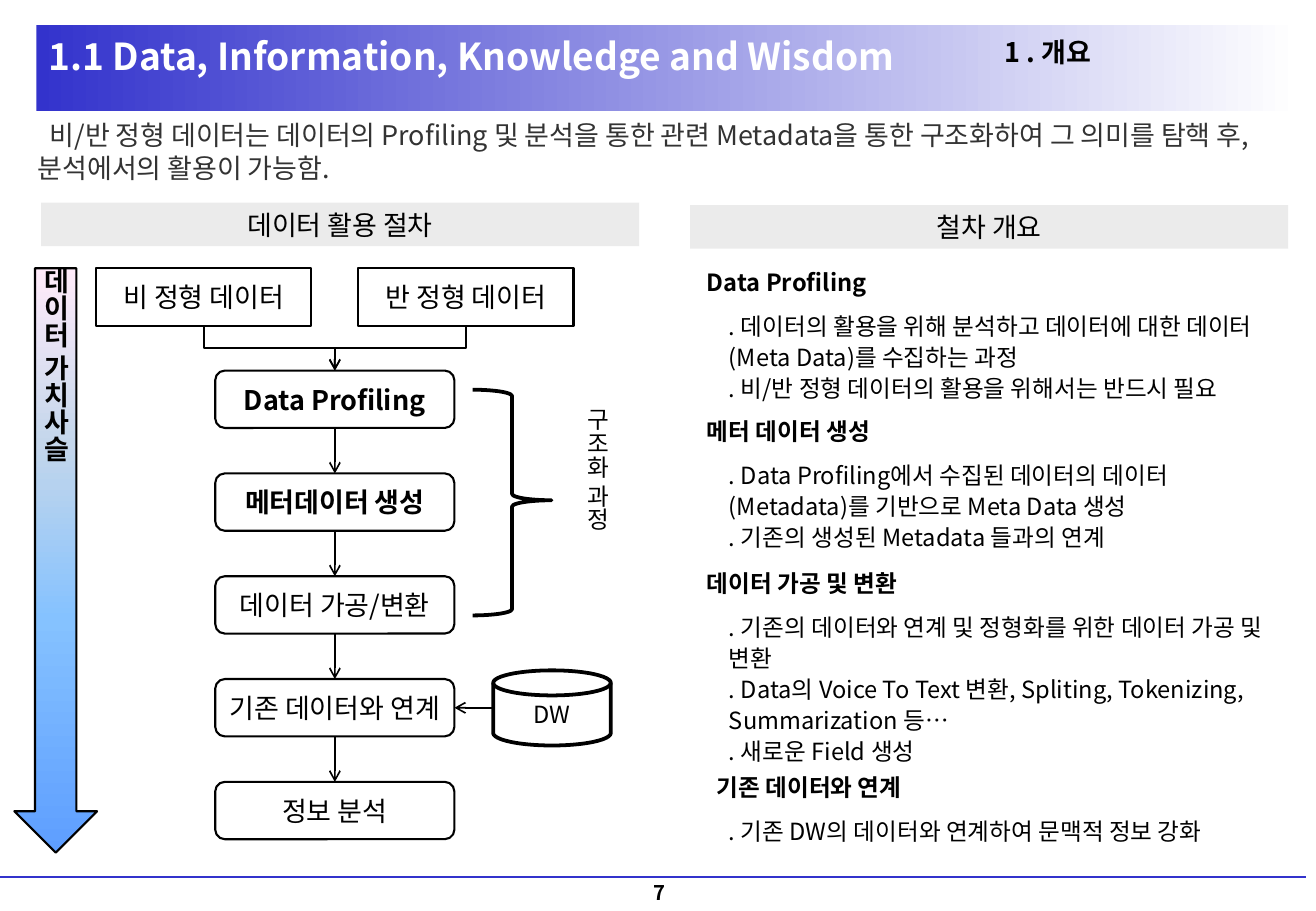
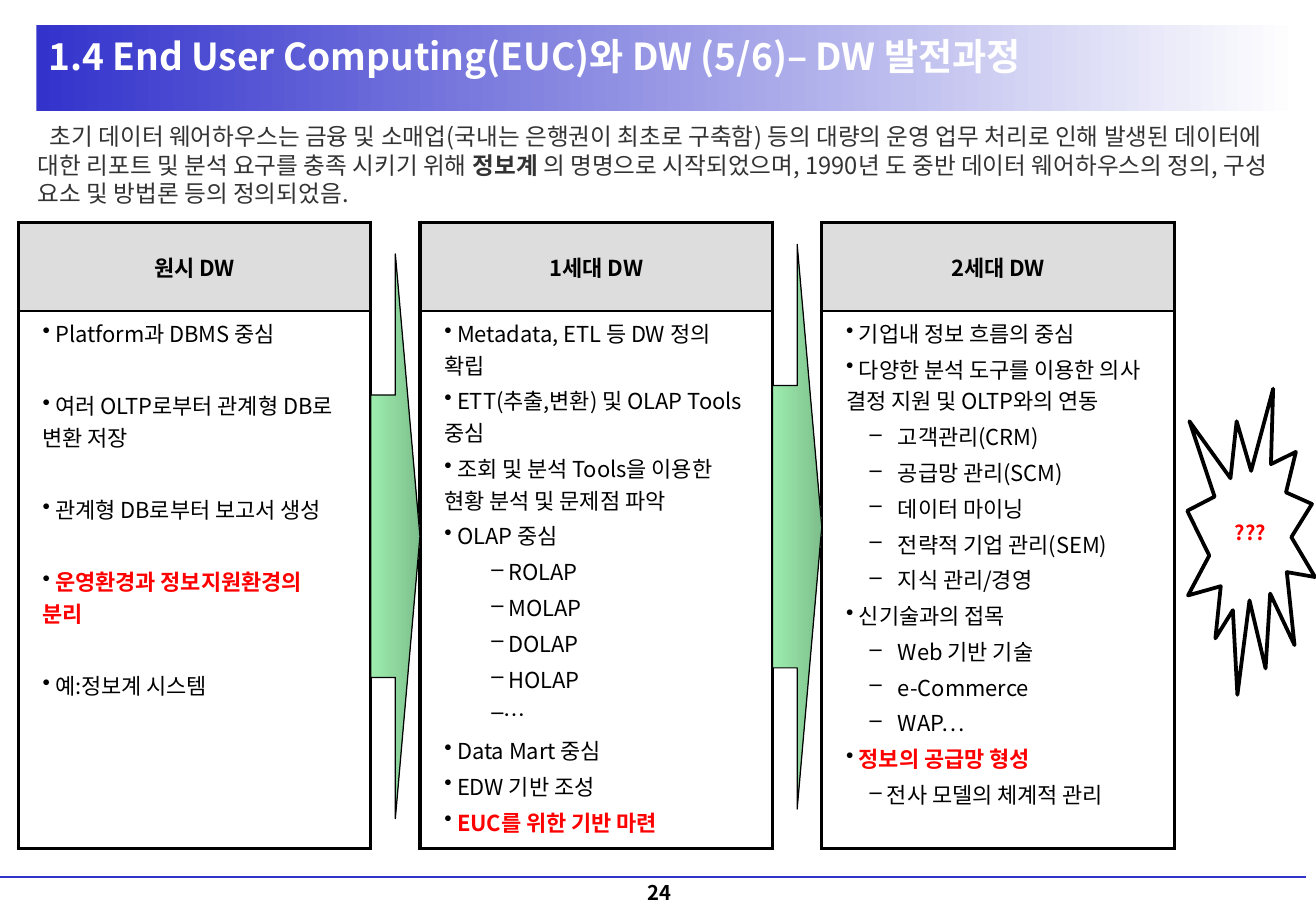
from dataclasses import dataclass
from itertools import pairwise

from pptx import Presentation
from pptx.dml.color import RGBColor
from pptx.enum.shapes import MSO_CONNECTOR, MSO_SHAPE
from pptx.enum.text import MSO_ANCHOR, MSO_AUTO_SIZE, PP_ALIGN
from pptx.oxml.ns import qn
from pptx.oxml.xmlchemy import OxmlElement
from pptx.util import Cm, Pt

LEFT, CENTER, RIGHT = PP_ALIGN.LEFT, PP_ALIGN.CENTER, PP_ALIGN.RIGHT
TOP, MIDDLE, BOTTOM = MSO_ANCHOR.TOP, MSO_ANCHOR.MIDDLE, MSO_ANCHOR.BOTTOM
STRAIGHT, ELBOW = MSO_CONNECTOR.STRAIGHT, MSO_CONNECTOR.ELBOW
SITE_TOP, SITE_BOTTOM = 0, 2


@dataclass(frozen=True)
class Theme:
    """Colours, font and type sizes of the deck."""
    font: str = "Noto Sans CJK KR"
    accent: str = "3333CC"
    white: str = "FFFFFF"
    ink: str = "000000"
    lead: str = "333333"
    panel: str = "D9D9D9"
    header: str = "DDDDDD"
    alert: str = "FF0000"
    growth: tuple = ((0, "9DEDAE"), (100, "7EBF8C"))
    value: tuple = ((0, "5E9EFF"), (40, "85C2FF"), (63, "B6D2EF"),
                    (70, "C4D6EB"), (100, "FFEBFA"))
    title_size: int = 22
    label_size: int = 16
    text_size: int = 14
    table_size: int = 13
    small_size: int = 12


@dataclass(frozen=True)
class Box:
    """A rectangle in centimetres."""
    x: float
    y: float
    w: float
    h: float

    def lengths(self):
        """Return left, top, width and height as lengths."""
        return Cm(self.x), Cm(self.y), Cm(self.w), Cm(self.h)

    def inner(self, dx, dy, w, h):
        """Return a box offset from this one's corner."""
        return Box(self.x + dx, self.y + dy, w, h)


@dataclass(frozen=True)
class Item:
    """One bullet of a generation; margin and indent are in centimetres."""
    text: str
    bullet: str = "•"
    margin: float = 0
    indent: float = 0
    strong: bool = False
    lead: str = " "


THEME = Theme()


def element(tag, **attributes):
    """Create a drawing element with attributes."""
    node = OxmlElement(tag)
    for name, value in attributes.items():
        node.set(name, str(value))
    return node


def color_fill(color, alpha=None):
    """Create a solid fill, with an optional opacity in percent."""
    fill = element("a:solidFill")
    fill.append(element("a:srgbClr", val=color))
    if alpha is not None:
        fill[0].append(element("a:alpha", val=alpha * 1000))
    return fill


def add_run(paragraph, text, size, color=THEME.ink, bold=False):
    """Append one formatted run."""
    run = paragraph.add_run()
    run.text = text
    font = run.font
    font.size, font.bold, font.name = Pt(size), bold, THEME.font
    font.color.rgb = RGBColor.from_string(color)
    run._r.get_or_add_rPr().append(element("a:ea", typeface=THEME.font))


def prepare(frame, anchor=TOP, inset=None, vertical=False):
    """Set the wrapping, anchor, insets and direction of a text frame."""
    frame.word_wrap, frame.auto_size = True, MSO_AUTO_SIZE.NONE
    frame.vertical_anchor = anchor
    if inset is not None:
        frame.margin_left = frame.margin_right = Cm(inset)
        frame.margin_top = frame.margin_bottom = Cm(inset)
    if vertical:
        frame._txBody.bodyPr.set("vert", "eaVert")
    return frame.paragraphs[0]


def add_label(shape, text, size, color=THEME.ink, bold=False, align=CENTER,
              anchor=MIDDLE, inset=None, vertical=False):
    """Write one line into a shape."""
    paragraph = prepare(shape.text_frame, anchor, inset, vertical)
    paragraph.alignment = align
    add_run(paragraph, text, size, color, bold)


def add_outline(slide, kind, box, line=None):
    """Add an unfilled preset shape, with an optional black outline."""
    shape = slide.shapes.add_shape(kind, *box.lengths())
    shape.shadow.inherit = False
    shape.fill.background()
    if line:
        shape.line.color.rgb = RGBColor.from_string(THEME.ink)
        shape.line.width = Pt(line)
    else:
        shape.line.fill.background()
    return shape


def set_gradient(shape, stops, angle=0):
    """Fill a shape with gradient stops, clockwise angle in degrees."""
    shape.fill.gradient()
    gradient = shape._element.spPr.find(qn("a:gradFill"))
    stop_list = gradient.find(qn("a:gsLst"))
    stop_list.clear()
    for position, color in stops:
        stop = element("a:gs", pos=position * 1000)
        stop.append(element("a:srgbClr", val=color))
        stop_list.append(stop)
    gradient.find(qn("a:lin")).set("ang", str(angle * 60000))


def add_line(slide, kind, ends, color=THEME.ink, width=1, arrow=True):
    """Add a connector between two points, by default with an arrowhead."""
    line = slide.shapes.add_connector(kind, *map(Cm, ends))
    line.line.color.rgb = RGBColor.from_string(color)
    line.line.width = Pt(width)
    properties = line._element.spPr
    if arrow:
        properties.find(qn("a:ln")).append(element("a:tailEnd", type="arrow"))
    properties.append(element("a:effectLst"))
    return line


def furnish_layout(layout, slide):
    """Give the layout the title band and the footer rule."""
    band = add_outline(slide, MSO_SHAPE.RECTANGLE, Box(0.76, 0.53, 26.42, 1.8))
    set_gradient(band, ((0, THEME.accent), (100, THEME.white)))
    rule = add_line(slide, STRAIGHT, (27.3, 18.34, 0, 18.34),
                    THEME.accent, 1.5, arrow=False)
    for number, part in enumerate((band, rule)):
        part._element.xpath(".//p:cNvPr")[0].set("id", str(90 + number))
        layout.shapes._spTree.insert(2 + number, part._element)


def fill_frame(slide, title, title_width, number, lead_box, lead, size, pitch):
    """Fill the title, the lead paragraph and the page number."""
    heading, body = slide.shapes.title, slide.placeholders[1]
    for holder, box in ((heading, Box(0.76, 0.56, title_width, 1.22)),
                        (body, lead_box)):
        holder.left, holder.top, holder.width, holder.height = box.lengths()
    add_label(heading, title, THEME.title_size, THEME.white, True, LEFT)
    paragraph = prepare(body.text_frame, inset=0)
    paragraph.line_spacing, paragraph.space_before = Pt(pitch), Pt(0)
    set_bullet(paragraph, None, 0, 0.25)
    for text, bold in lead:
        add_run(paragraph, text, size, THEME.lead, bold)
    page = slide.shapes.add_textbox(*Box(10.92, 18.31, 5.74, 0.74).lengths())
    add_label(page, number, THEME.small_size, bold=True, anchor=BOTTOM)


def set_bullet(paragraph, bullet, margin, indent):
    """Set bullet character, margin and first-line indent."""
    properties = paragraph._p.get_or_add_pPr()
    properties.set("marL", str(Cm(margin)))
    properties.set("indent", str(Cm(indent)))
    properties.append(element("a:buChar", char=bullet) if bullet
                      else element("a:buNone"))


def draw_panel_heading(slide, box, text):
    """Draw a translucent grey heading."""
    panel = add_outline(slide, MSO_SHAPE.RECTANGLE, box)
    properties = panel._element.spPr
    properties.replace(properties.find(qn("a:noFill")),
                       color_fill(THEME.panel, 50))
    add_label(panel, text, THEME.label_size)


def draw_flow(slide, box):
    """Draw the value arrow, data sources, steps and warehouse."""
    size = THEME.label_size
    value = add_outline(slide, MSO_SHAPE.DOWN_ARROW,
                        box.inner(0, 0, 1.73, box.h), 1.25)
    set_gradient(value, THEME.value, 270)
    add_label(value, "데이터 가치사슬", size, bold=True, align=LEFT,
              inset=0, vertical=True)

    for column, text in enumerate(("비 정형 데이터", "반 정형 데이터")):
        source = add_outline(slide, MSO_SHAPE.RECTANGLE,
                             box.inner(1.71 + column * 5.48, 0, 4.5, 1.2), 1.25)
        add_label(source, text, size)

    steps = []
    for row, text in enumerate(("Data Profiling", "메터데이터 생성",
                                "데이터 가공/변환", "기존 데이터와 연계",
                                "정보 분석")):
        step = add_outline(slide, MSO_SHAPE.ROUNDED_RECTANGLE,
                           box.inner(4.2, 2.14 + row * 2.15, 5, 1.2), 1.25)
        add_label(step, text, size, bold=row < 2, inset=0)
        steps.append(step)
    for upper, lower in pairwise(steps):
        arrow = add_line(slide, STRAIGHT, (0, 0, 1, 1))
        arrow.begin_connect(upper, SITE_BOTTOM)
        arrow.end_connect(lower, SITE_TOP)

    drop, reach = 0.94, 2.74
    middle, top = box.x + 6.7, box.y + 1.2 + (drop - reach) / 2
    for side, angle in ((-1, 270), (1, 90)):
        center = middle + side * reach / 2
        merge = add_line(slide, ELBOW,
                         (center + side * -drop / 2, top,
                          center + side * drop / 2, top + reach))
        merge._element.spPr.xfrm.set("rot", str(angle * 60000))

    warehouse = add_outline(slide, MSO_SHAPE.FLOWCHART_MAGNETIC_DISK,
                            box.inner(10.01, 8.41, 2.46, 1.57), 2.25)
    add_label(warehouse, "DW", THEME.text_size)
    level = box.y + 9.19
    add_line(slide, STRAIGHT, (box.x + 10.01, level, box.x + 9.2, level))
    brace = add_outline(slide, MSO_SHAPE.RIGHT_BRACE,
                        box.inner(9.58, 2.54, 1.65, 4.72), 2.25)
    brace.adjustments[0], brace.adjustments[1] = 0.08, 0.49
    note = slide.shapes.add_textbox(*box.inner(11.49, 2.67, 1.12, 4.5).lengths())
    add_label(note, "구조화 과정", THEME.text_size, align=LEFT, anchor=TOP,
              vertical=True)


def draw_detail(slide, box, title, shift, lines):
    """Draw one bold heading with its explanation below."""
    heading = slide.shapes.add_textbox(*box.inner(shift, 0, 6, 1.07).lengths())
    add_label(heading, title, THEME.text_size, bold=True, align=LEFT)
    body = slide.shapes.add_textbox(
        *box.inner(0.46, 0.98, box.w - 0.46, box.h - 0.98).lengths())
    paragraph = prepare(body.text_frame)
    for number, text in enumerate(lines):
        if number:
            paragraph = body.text_frame.add_paragraph()
        paragraph.line_spacing = Pt(18.4)
        add_run(paragraph, text, THEME.text_size)


def set_borders(cell, widths):
    """Set left, right, top and bottom cell borders in points."""
    properties = cell._tc.get_or_add_tcPr()
    for number, (side, width) in enumerate(zip("LRTB", widths)):
        border = element(f"a:ln{side}", w=Pt(width))
        border.append(color_fill(THEME.ink))
        properties.insert(number, border)


def draw_generation(slide, box, title, items, gap):
    """Draw one generation as a header cell above a bulleted cell."""
    table = slide.shapes.add_table(2, 1, *box.lengths()).table
    table.first_row = table.horz_banding = False
    table.rows[0].height, table.rows[1].height = Cm(1.85), Cm(box.h - 1.85)
    header, body = table.cell(0, 0), table.cell(1, 0)
    for cell, widths in ((header, (2.25, 2.25, 2.25, 1)),
                         (body, (2.25, 2.25, 1, 2.25))):
        cell.margin_left = cell.margin_right = Cm(0.51)
        cell.margin_top = cell.margin_bottom = Cm(0.13)
        cell.fill.background()
        set_borders(cell, widths)
    header.fill.solid()
    header.fill.fore_color.rgb = RGBColor.from_string(THEME.header)
    header.vertical_anchor = MIDDLE
    paragraph = header.text_frame.paragraphs[0]
    paragraph.alignment = CENTER
    add_run(paragraph, title, THEME.table_size, bold=True)
    paragraph = body.text_frame.paragraphs[0]
    for number, item in enumerate(items):
        if number:
            paragraph = body.text_frame.add_paragraph()
            paragraph.space_before = Pt(gap)
        paragraph.line_spacing = Pt(18.8)
        set_bullet(paragraph, item.bullet, item.margin, item.indent)
        if item.lead:
            add_run(paragraph, item.lead, THEME.table_size)
        add_run(paragraph, item.text, THEME.table_size,
                THEME.alert if item.strong else THEME.ink, item.strong)


def dashes(texts, margin, indent):
    """Return second-level items."""
    return [Item(text, "–", margin, indent) for text in texts]


def build_process_slide(slide):
    """Build the slide on the data usage procedure."""
    fill_frame(slide, "1.1 Data, Information, Knowledge and Wisdom", 19.61, "7",
               Box(0.79, 2.46, 25.55, 2.49),
               [("비/반 정형 데이터는 데이터의 Profiling 및 분석을 통한 관련 Metadata을 통한 "
                 "구조화하여 그 의미를 탐핵 후, 분석에서의 활용이 가능함.", False)],
               THEME.label_size, 19.5)
    section = slide.shapes.add_textbox(*Box(12.4, 0.48, 10.41, 1.22).lengths())
    add_label(section, "1 . 개요", THEME.label_size, bold=True, align=RIGHT, inset=0)
    draw_panel_heading(slide, Box(0.86, 4.24, 12.5, 0.91), "데이터 활용 절차")
    draw_panel_heading(slide, Box(14.43, 4.29, 12.5, 0.91), "철차 개요")
    draw_flow(slide, Box(0.3, 5.61, 13, 12.22))
    details = (
        (5.36, 3.2, "Data Profiling", 0,
         (". 데이터의 활용을 위해 분석하고 데이터에 대한 데이터(Meta Data)를 수집하는 과정",
          ". 비/반 정형 데이터의 활용을 위해서는 반드시 필요")),
        (8.48, 3.2, "메터 데이터 생성", 0,
         (". Data Profiling에서 수집된 데이터의 데이터(Metadata)를 기반으로 Meta Data 생성",
          ". 기존의 생성된 Metadata 들과의 연계")),
        (11.66, 4.5, "데이터 가공 및 변환", 0,
         (". 기존의 데이터와 연계 및 정형화를 위한 데이터 가공 및 변환",
          ". Data의 Voice To Text 변환, Spliting, Tokenizing, Summarization 등…",
          ". 새로운 Field 생성")),
        (15.93, 1.9, "기존 데이터와 연계", 0.2,
         (". 기존 DW의 데이터와 연계하여 문맥적 정보 강화",)))
    for top, height, title, shift, lines in details:
        draw_detail(slide, Box(14.53, top, 12.47, height), title, shift, lines)


def build_evolution_slide(slide):
    """Build the slide on the generations of data warehouses."""
    fill_frame(slide, "1.4 End User Computing(EUC)와 DW (5/6)– DW 발전과정", 23.42, "24",
               Box(0.79, 2.54, 26.21, 2.62),
               [("초기 데이터 웨어하우스는 금융 및 소매업(국내는 은행권이 최초로 구축함) 등의 대량의 "
                 "운영 업무 처리로 인해 발생된 데이터에 대한 리포트 및 분석 요구를 충족 시키기 위해 ", False),
                ("정보계", True),
                (" 의 명명으로 시작되었으며, 1990년 도 중반 데이터 웨어하우스의 정의, 구성 요소 및 "
                 "방법론 등의 정의되었음.", False)], THEME.text_size, 17)
    generations = (
        ("원시 DW", 24,
         [Item("Platform과 DBMS 중심"), Item("여러 OLTP로부터 관계형 DB로 변환 저장"),
          Item("관계형 DB로부터 보고서 생성"),
          Item("운영환경과 정보지원환경의 분리", strong=True), Item("예:정보계 시스템")]),
        ("1세대 DW", 2.4,
         [Item("Metadata, ETL 등 DW 정의 확립"), Item("ETT(추출,변환) 및 OLAP Tools 중심"),
          Item("조회 및 분석 Tools을 이용한 현황 분석 및 문제점 파악"), Item("OLAP 중심"),
          *dashes(("ROLAP", "MOLAP", "DOLAP", "HOLAP"), 0.49, 0.49),
          Item("…", "–", 0.49, 0.49, lead=""), Item("Data Mart 중심"),
          Item("EDW 기반 조성"), Item("EUC를 위한 기반 마련", strong=True)]),
        ("2세대 DW", 2.4,
         [Item("기업내 정보 흐름의 중심"),
          Item("다양한 분석 도구를 이용한 의사 결정 지원 및 OLTP와의 연동"),
          *dashes(("고객관리(CRM)", "공급망 관리(SCM)", "데이터 마이닝",
                   "전략적 기업 관리(SEM)", "지식 관리/경영"), 0.98, -0.49),
          Item("신기술과의 접목"),
          *dashes(("Web 기반 기술", "e-Commerce", "WAP…"), 0.98, -0.49),
          Item("정보의 공급망 형성", strong=True),
          *dashes(("전사 모델의 체계적 관리",), 0.75, -0.26)]))
    boxes = [Box(0.38 + 8.4 * column, 4.65, 7.37, 13.1) for column in range(3)]
    for box, (title, gap, items) in zip(boxes, generations):
        draw_generation(slide, box, title, items, gap)
    for box, drop in zip(boxes, (0.66, 0.46)):
        arrow = add_outline(slide, MSO_SHAPE.RIGHT_ARROW,
                            box.inner(box.w, drop, 1.03, 11.81), 0.75)
        set_gradient(arrow, THEME.growth)
    future = add_outline(slide, MSO_SHAPE.EXPLOSION1, Box(24.82, 8.13, 2.67, 6.4), 2.25)
    add_label(future, "???", THEME.small_size, THEME.alert, True)


def main():
    """Build and save the deck."""
    presentation = Presentation()
    presentation.slide_width, presentation.slide_height = Cm(27.51), Cm(19.05)
    layout = presentation.slide_layouts[1]
    slides = [presentation.slides.add_slide(layout) for _ in range(2)]
    furnish_layout(layout, slides[0])
    build_process_slide(slides[0])
    build_evolution_slide(slides[1])
    presentation.save("out.pptx")


main()
